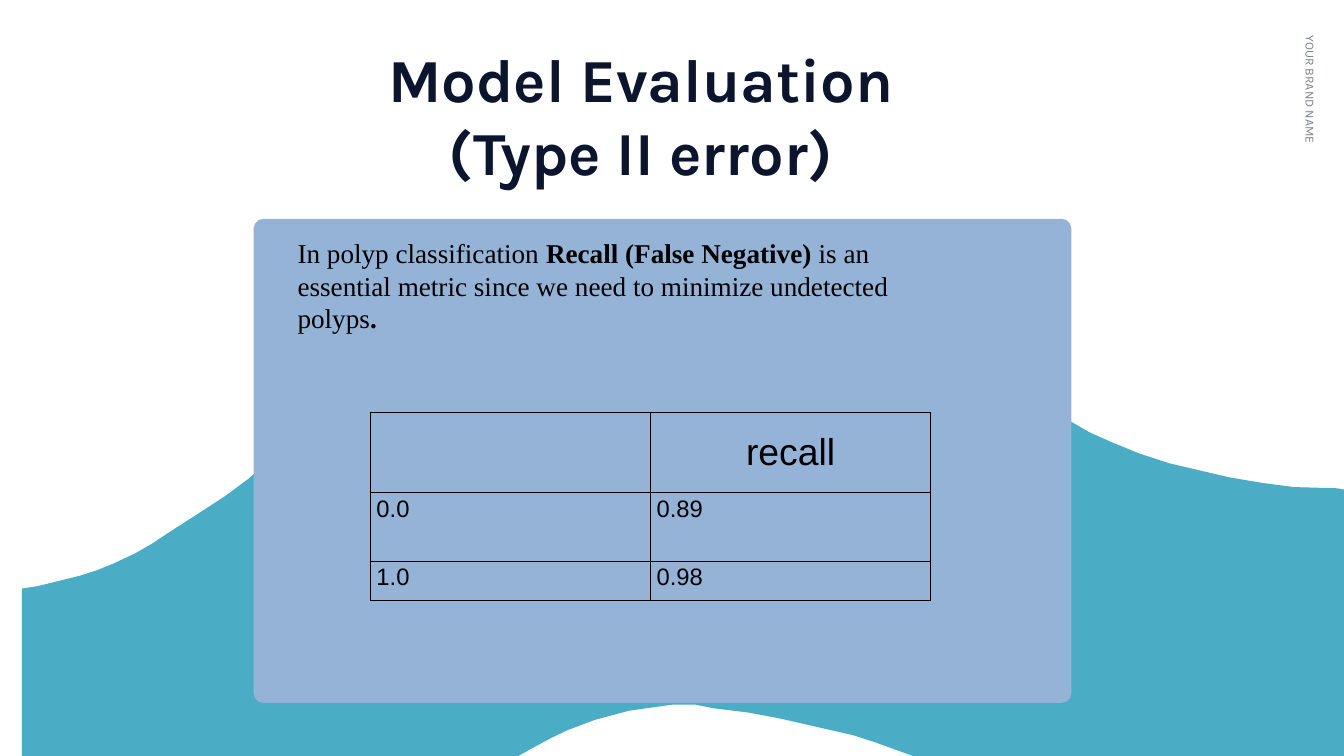
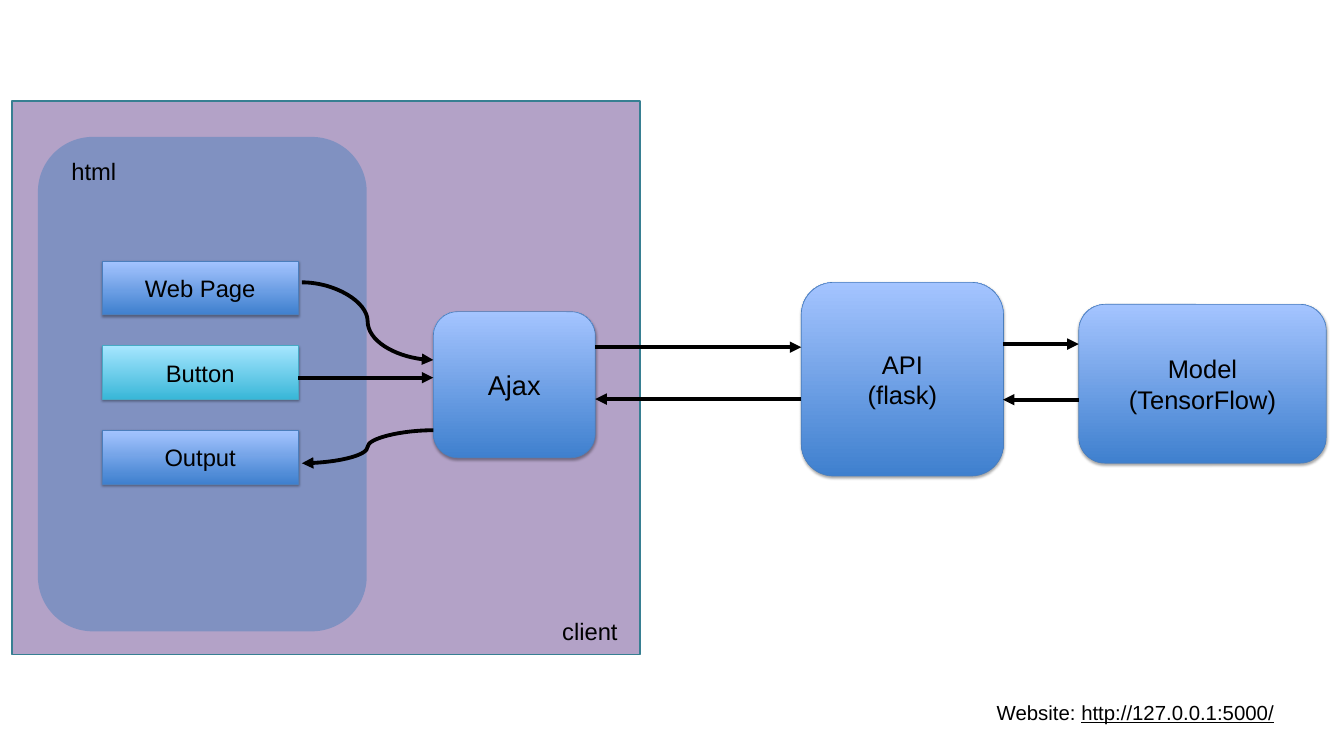
from dataclasses import dataclass

from lxml.etree import SubElement
from pptx import Presentation
from pptx.dml.color import RGBColor
from pptx.enum.shapes import MSO_CONNECTOR, MSO_SHAPE
from pptx.enum.text import MSO_ANCHOR, PP_ALIGN
from pptx.oxml.ns import qn
from pptx.util import Inches, Pt


@dataclass(frozen=True)
class Theme:
    ink: str = "000000"
    navy: str = "0B152D"
    gray: str = "75818B"
    teal: str = "4BACC6"
    panel: str = "95B3D7"
    mauve: str = "B3A2C7"
    edge: str = "377F92"
    blue: str = "4F81BD"
    steel: tuple = ("3F80CE", "A4C4FF", "4B7EBC")
    aqua: tuple = ("39B7D8", "A7E6FF", "46AAC5")
    sans: str = "Arial"
    serif: str = "Times New Roman"
    head: str = "Karla"
    title: float = 72
    table: float = 44
    large: float = 32
    node: float = 30
    label: float = 28
    link: float = 24
    brand: float = 14.5


LOOK = Theme()
WIDE, HIGH = 21.99, 12.37

WAVE = [
    (0.36, 9.63), (0.62, 9.59), (1.31, 9.42), (1.59, 9.33), (1.86, 9.22),
    (2.22, 9.05), (2.48, 8.9), (2.83, 8.67), (3.22, 8.42), (3.68, 8.12),
    (4.06, 7.84), (4.37, 7.56), (4.84, 7.17), (5.33, 6.84), (6.19, 6.31),
    (7.11, 5.85), (8.03, 5.45), (8.94, 5.19), (9.52, 5.08), (10.61, 4.98),
    (11.44, 4.98), (12.57, 5.08), (13.59, 5.28), (14.56, 5.58),
    (15.61, 5.97), (16.56, 6.38), (17.15, 6.67), (17.49, 6.88),
    (17.84, 7.08), (18.2, 7.24), (18.64, 7.42), (19.13, 7.58),
    (20.11, 7.81), (20.64, 7.9), (21.17, 7.97), (21.88, 7.99),
    (WIDE, 8.01), (WIDE, HIGH), (14.94, HIGH), (14.33, 12.15),
    (13.96, 12.03), (12.78, 11.76), (12.25, 11.66), (11.68, 11.59),
    (11.38, 11.53), (11, 11.53), (10.57, 11.59), (10.29, 11.63),
    (9.73, 11.78), (9.28, 11.95), (9.01, 12.08), (8.66, 12.27),
    (8.48, HIGH), (0.36, HIGH),
]


def paint(color):
    return RGBColor.from_string(color)


def write(frame, text, size=LOOK.label, font=LOOK.sans, color=LOOK.ink,
          bold=False, align=PP_ALIGN.LEFT, mark="bold"):
    for row, line in enumerate(text.split("\n")):
        para = frame.add_paragraph() if row else frame.paragraphs[0]
        para.alignment = align
        for part, piece in enumerate(line.split("*")):
            run = para.add_run()
            run.text = piece
            run.font.size = Pt(size)
            run.font.name = font
            run.font.color.rgb = paint(color)
            run.font.bold = bold
            if part % 2:
                setattr(run.font, mark, True)


class Deck:
    def __init__(self, look):
        self.look = look
        self.file = Presentation()
        self.file.slide_width = Inches(WIDE)
        self.file.slide_height = Inches(HIGH)
        self.slide = None

    def page(self):
        self.slide = self.file.slides.add_slide(self.file.slide_layouts[6])

    def text(self, place, text, tight=False, turn=0, **style):
        box = self.slide.shapes.add_textbox(*map(Inches, place))
        box.rotation = turn
        frame = box.text_frame
        frame.word_wrap = True
        if tight:
            frame.margin_left = frame.margin_right = frame.margin_bottom = 0
            frame.margin_top = Inches(0.02)
        write(frame, text, **style)

    def block(self, place, fill, kind=MSO_SHAPE.RECTANGLE, edge=None,
              curve=None, alpha=None):
        shape = self.slide.shapes.add_shape(kind, *map(Inches, place))
        if curve is not None:
            shape.adjustments[0] = curve
        self.coat(shape, fill, edge)
        if alpha:
            tone = shape.element.spPr.find(qn("a:solidFill"))[0]
            SubElement(tone, qn("a:alpha"), val=str(alpha * 1000))

    def coat(self, shape, fill, edge=None):
        shape.shadow.inherit = False
        shape.fill.solid()
        shape.fill.fore_color.rgb = paint(fill)
        if edge:
            shape.line.color.rgb = paint(edge)
            shape.line.width = Pt(2)
        else:
            shape.line.fill.background()

    def node(self, place, text, tones=LOOK.steel, size=LOOK.node,
             kind=MSO_SHAPE.ROUNDED_RECTANGLE):
        shape = self.slide.shapes.add_shape(kind, *map(Inches, place))
        shape.fill.gradient()
        shape.fill.gradient_angle = 90
        for stop, tone in zip(shape.fill.gradient_stops, tones):
            stop.color.rgb = paint(tone)
        shape.line.color.rgb = paint(tones[2])
        shape.line.width = Pt(0.75)
        shape.shadow.inherit = False
        glow = SubElement(
            shape.element.spPr.find(qn("a:effectLst")), qn("a:outerShdw"),
            blurRad=str(Pt(3.1)), dist=str(Pt(1.8)), dir="5400000",
            rotWithShape="0")
        shade = SubElement(glow, qn("a:srgbClr"), val=self.look.ink)
        SubElement(shade, qn("a:alpha"), val="35000")
        frame = shape.text_frame
        frame.word_wrap = True
        frame.vertical_anchor = MSO_ANCHOR.MIDDLE
        write(frame, text, size=size, align=PP_ALIGN.CENTER)

    def arrow(self, start, end, kind=MSO_CONNECTOR.STRAIGHT):
        line = self.slide.shapes.add_connector(
            kind, *map(Inches, start + end))
        line.line.color.rgb = paint(self.look.ink)
        line.line.width = Pt(4.5)
        props = line.element.spPr
        SubElement(props.find(qn("a:ln")), qn("a:tailEnd"), type="triangle")
        SubElement(props, qn("a:effectLst"))

    def wave(self, points):
        first, *rest = [tuple(map(Inches, point)) for point in points]
        path = self.slide.shapes.build_freeform(*first)
        path.add_line_segments(rest, close=True)
        self.coat(path.convert_to_shape(), self.look.teal)

    def table(self, place, rows, highs):
        grid = self.slide.shapes.add_table(
            len(rows), len(rows[0]), *map(Inches, place)).table
        grid.first_row = grid.horz_banding = False
        for r, row in enumerate(rows):
            grid.rows[r].height = Inches(highs[r])
            for c, text in enumerate(row):
                cell = grid.cell(r, c)
                self.frame(cell)
                if text and r == 0:
                    cell.vertical_anchor = MSO_ANCHOR.MIDDLE
                    write(cell.text_frame, text, size=self.look.table,
                          align=PP_ALIGN.CENTER)
                elif text:
                    write(cell.text_frame, text)

    def frame(self, cell):
        props = cell._tc.get_or_add_tcPr()
        for side in "LRTB":
            line = SubElement(props, qn("a:ln" + side), w=str(Pt(1)))
            fill = SubElement(line, qn("a:solidFill"))
            SubElement(fill, qn("a:srgbClr"), val=self.look.ink)
        cell.fill.background()


def recall(deck):
    look = deck.look
    deck.page()
    deck.wave(WAVE)
    deck.block((4.15, 3.58, 13.38, 7.92), look.panel,
               MSO_SHAPE.ROUNDED_RECTANGLE, curve=0.02)
    deck.text((3.6, 0.65, 13.77, 2.44), "Model Evaluation\n(Type II error)",
              tight=True, size=look.title, font=look.head, color=look.navy,
              bold=True, align=PP_ALIGN.CENTER)
    deck.text((20.55, 1.34, 1.79, 0.28), "YOUR BRAND NAME", tight=True,
              turn=90, size=look.brand, font=look.head, color=look.gray)
    deck.text((4.77, 3.82, 10.8, 2.09),
              "In polyp classification *Recall (False Negative) *is an "
              "essential metric since we need to minimize undetected "
              "polyps*.*", size=look.large, font=look.serif)
    deck.table((6.06, 6.74, 9.17, 3.07),
               [("", "recall"), ("0.0", "0.89"), ("1.0", "0.98")],
               (1.32, 1.12, 0.64))


def system(deck):
    look = deck.look
    deck.page()
    deck.block((0.2, 1.65, 10.27, 9.06), look.mauve, edge=look.edge)
    deck.block((0.62, 2.24, 5.38, 8.09), look.blue,
               MSO_SHAPE.ROUNDED_RECTANGLE, alpha=50)
    deck.text((1.07, 2.52, 1.58, 0.57), "html")
    deck.text((9.1, 10.04, 1.26, 0.57), "client")
    parts = [("Web Page", look.steel), ("Button", look.aqua),
             ("Output", look.steel)]
    for step, (name, tones) in enumerate(parts):
        deck.node((1.67, 4.27 + 1.385 * step, 3.21, 0.88), name, tones,
                  look.label, MSO_SHAPE.RECTANGLE)
    deck.node((7.09, 5.1, 2.65, 2.39), "Ajax", size=look.large)
    deck.node((13.11, 4.62, 3.31, 3.17), "API\n(flask)")
    deck.node((17.65, 4.98, 4.05, 2.6), "Model\n(TensorFlow)")
    deck.arrow((4.94, 4.62), (7.09, 5.89), MSO_CONNECTOR.CURVE)
    deck.arrow((4.88, 6.18), (7.09, 6.18))
    deck.arrow((7.09, 7.04), (4.94, 7.58), MSO_CONNECTOR.CURVE)
    for left, right, top, base in [(9.74, 13.11, 5.68, 6.53),
                                   (16.41, 17.65, 5.63, 6.54)]:
        deck.arrow((left, top), (right, top))
        deck.arrow((right, base), (left, base))
    deck.text((16.21, 11.4, 5.03, 0.5), "Website: *http://127.0.0.1:5000/*",
              size=look.link, mark="underline")


def main():
    deck = Deck(LOOK)
    recall(deck)
    system(deck)
    deck.file.save("out.pptx")


if __name__ == "__main__":
    main()
